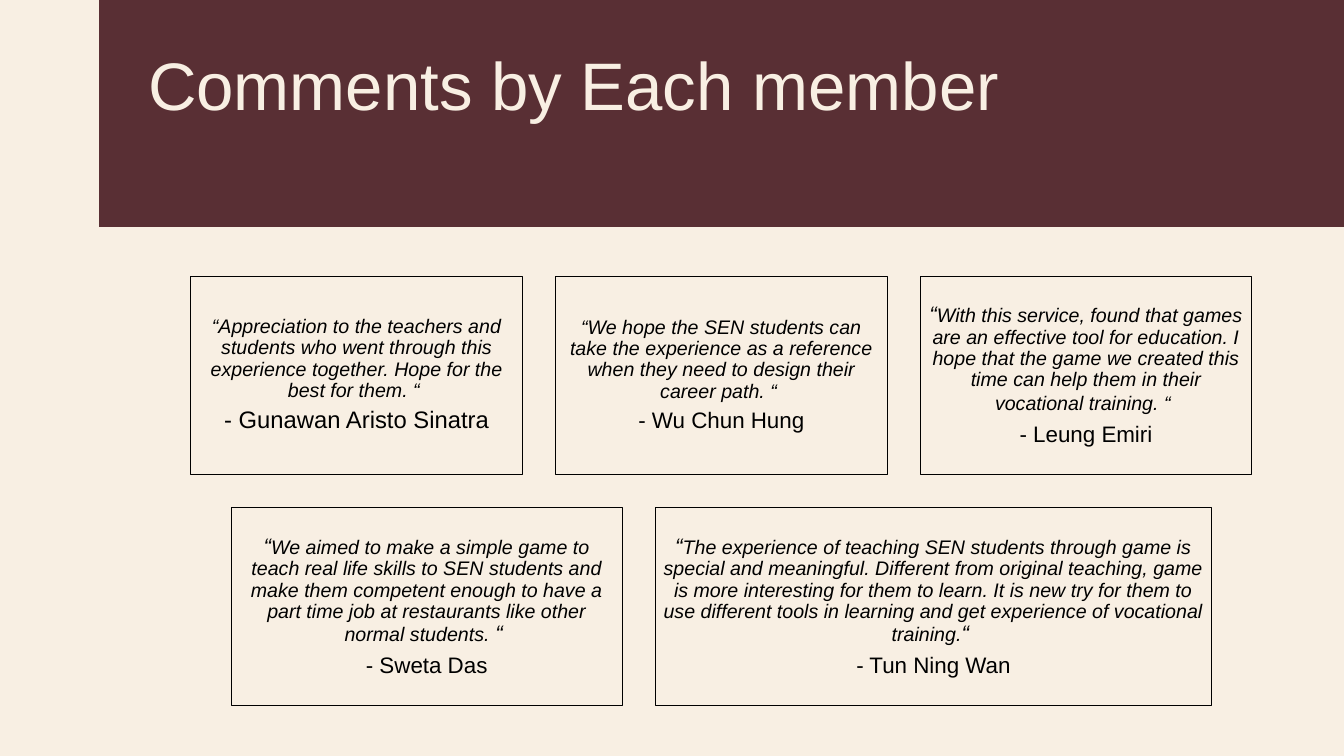
"""Build the slide with the comments of each member."""
from dataclasses import dataclass

import pptx
import pptx.dml.color
import pptx.enum.shapes
import pptx.enum.text
import pptx.util
from lxml import etree
from pptx.util import Cm, Pt


@dataclass(frozen=True)
class Theme:
    """Hold the colours, font and type sizes."""
    cream: str = "F8EFE3"
    maroon: str = "592F34"
    ink: str = "000000"
    font: str = "Arial"
    heading: int = 48
    quote: int = 14
    mark: int = 16
    long_signature: int = 17
    signature: int = 16
    hairline: float = 0.75


THEME = Theme()
SLIDE_WIDTH, SLIDE_HEIGHT = 33.87, 19.05
MARGIN_WIDTH, BAND_HEIGHT = 2.49, 5.72
RULE_HEIGHT = 10.11
ROWS_CENTRE, ROWS_TOP, CARD_HEIGHT, CARD_GAP = 18.18, 6.96, 5, 0.83
TIGHT = {"inset": 0.16, "space": 4.9}
ROOMY = {"inset": 0.18, "space": 5.6}

COMMENT_ROWS = [
    [
        (8.36, TIGHT,
         [("“Appreciation to the teachers and students who went through this "
           "experience together. Hope for the best for them. “ ", THEME.quote)],
         "- Gunawan Aristo Sinatra", THEME.long_signature),
        (8.36, TIGHT,
         [("“We hope the SEN students can take the experience as a reference "
           "when they need to design their career path. “ ", THEME.quote)],
         "- Wu Chun Hung", THEME.signature),
        (8.36, ROOMY,
         [("“", THEME.mark),
          ("With this service, found that games are an effective tool for "
           "education. I hope that the game we created this time can help them "
           "in their vocational training. “", THEME.quote),
          (" ", THEME.mark)],
         "- Leung Emiri", THEME.signature),
    ],
    [
        (9.86, ROOMY,
         [("“", THEME.mark),
          ("We aimed to make a simple game to teach real life skills to SEN "
           "students and make them competent enough to have a part time job at "
           "restaurants like other normal students. ", THEME.quote),
          ("“ ", THEME.mark)],
         "- Sweta Das", THEME.signature),
        (14.02, ROOMY,
         [("“", THEME.mark),
          ("The experience of teaching SEN students through game is special and "
           "meaningful. Different from original teaching, game is more "
           "interesting for them to learn. It is new try for them to use "
           "different tools in learning and get experience of vocational "
           "training.", THEME.quote),
          ("“ ", THEME.mark)],
         "- Tun Ning Wan", THEME.signature),
    ],
]


def rgb(value):
    """Turn a hex value into a colour."""
    return pptx.dml.color.RGBColor.from_string(value)


def apply(target, formats):
    """Set each attribute named in the formats."""
    for attribute, value in formats.items():
        setattr(target, attribute, value)


def format_frame(frame, inset, anchor):
    """Give a text frame even insets, wrapping and an anchor."""
    sides = ("margin_left", "margin_top", "margin_right", "margin_bottom")
    apply(frame, dict.fromkeys(sides, Cm(inset)))
    apply(frame, {"word_wrap": True, "vertical_anchor": anchor,
                  "auto_size": pptx.enum.text.MSO_AUTO_SIZE.NONE})


def add_run(paragraph, text, size, colour, italic=False):
    """Add a formatted run to a paragraph."""
    run = paragraph.add_run()
    run.text = text
    apply(run.font, {"name": THEME.font, "size": Pt(size), "italic": italic})
    run.font.color.rgb = rgb(colour)


def add_rectangle(slide, left, top, width, height):
    """Add a rectangle without a shadow."""
    rectangle = slide.shapes.add_shape(
        pptx.enum.shapes.MSO_SHAPE.RECTANGLE,
        Cm(left), Cm(top), Cm(width), Cm(height))
    rectangle.shadow.inherit = False
    return rectangle


def add_panel(slide, left, width, height, colour):
    """Add a filled panel at the top edge of the slide."""
    panel = add_rectangle(slide, left, 0, width, height)
    panel.fill.solid()
    panel.fill.fore_color.rgb = rgb(colour)
    panel.line.fill.background()
    return panel


def add_rule(slide, start, end):
    """Add a cream hairline between two points."""
    rule = slide.shapes.add_connector(
        pptx.enum.shapes.MSO_CONNECTOR.STRAIGHT, *map(Cm, start + end))
    rule.line.color.rgb = rgb(THEME.cream)
    rule.line.width = Pt(THEME.hairline)
    etree.SubElement(rule.element.spPr, pptx.oxml.ns.qn("a:effectLst"))


def place_heading(slide, band, text):
    """Lay the title over the band."""
    heading = slide.shapes.title
    apply(heading, {"left": Cm(3.73), "top": Cm(0.89),
                    "width": Cm(28.91), "height": Cm(3.51)})
    band.element.addnext(heading.element)
    format_frame(heading.text_frame, 0, pptx.enum.text.MSO_ANCHOR.TOP)
    paragraph = heading.text_frame.paragraphs[0]
    apply(paragraph, {"alignment": pptx.enum.text.PP_ALIGN.LEFT,
                      "line_spacing": 1.1})
    add_run(paragraph, text, THEME.heading, THEME.cream)


def add_comment(slide, left, top, comment):
    """Add a framed quote with its signature."""
    width, density, quote, author, author_size = comment
    card = add_rectangle(slide, left, top, width, CARD_HEIGHT)
    card.fill.background()
    card.line.color.rgb = rgb(THEME.ink)
    card.line.width = Pt(THEME.hairline)
    frame = card.text_frame
    format_frame(frame, density["inset"], pptx.enum.text.MSO_ANCHOR.MIDDLE)
    words, signature = frame.paragraphs[0], frame.add_paragraph()
    for paragraph in (words, signature):
        apply(paragraph, {"alignment": pptx.enum.text.PP_ALIGN.CENTER,
                          "line_spacing": 0.9})
    signature.space_before = Pt(density["space"])
    for text, size in quote:
        add_run(words, text, size, THEME.ink, italic=True)
    add_run(signature, author, author_size, THEME.ink)


def add_comment_row(slide, top, comments):
    """Centre a row of comments with equal gaps."""
    row_width = sum(comment[0] for comment in comments)
    row_width += CARD_GAP * (len(comments) - 1)
    left = ROWS_CENTRE - row_width / 2
    for comment in comments:
        add_comment(slide, left, top, comment)
        left += comment[0] + CARD_GAP


def main():
    """Compose and save the slide."""
    deck = pptx.Presentation()
    apply(deck, {"slide_width": Cm(SLIDE_WIDTH),
                 "slide_height": Cm(SLIDE_HEIGHT)})
    slide = deck.slides.add_slide(deck.slide_layouts[5])
    slide.background.fill.solid()
    slide.background.fill.fore_color.rgb = rgb(THEME.cream)
    add_panel(slide, 0, MARGIN_WIDTH, SLIDE_HEIGHT, THEME.cream)
    band = add_panel(slide, MARGIN_WIDTH, SLIDE_WIDTH - MARGIN_WIDTH,
                     BAND_HEIGHT, THEME.maroon)
    place_heading(slide, band, "Comments by Each member")
    add_rule(slide, (MARGIN_WIDTH, 0), (MARGIN_WIDTH, SLIDE_HEIGHT))
    add_rule(slide, (MARGIN_WIDTH, RULE_HEIGHT), (SLIDE_WIDTH, RULE_HEIGHT))
    for index, comments in enumerate(COMMENT_ROWS):
        add_comment_row(slide, ROWS_TOP + index * (CARD_HEIGHT + CARD_GAP),
                        comments)
    deck.save("out.pptx")


if __name__ == "__main__":
    main()
